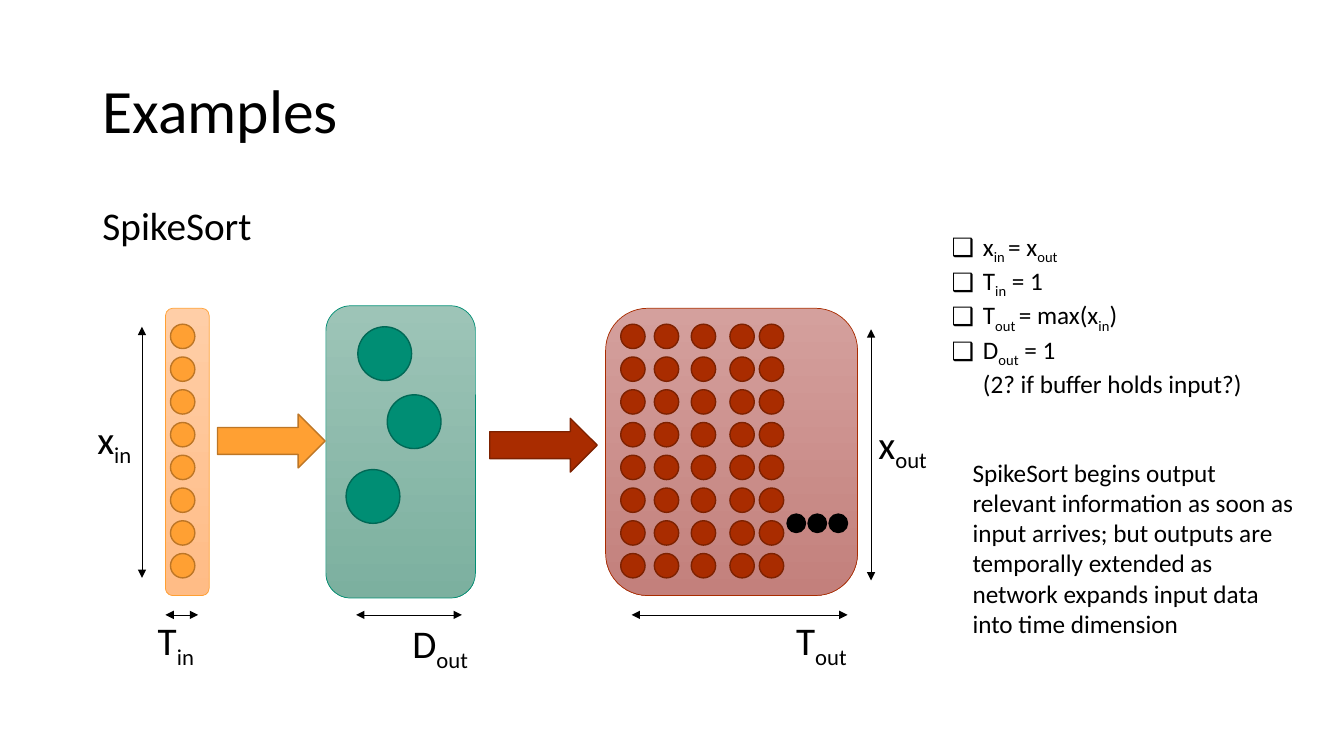
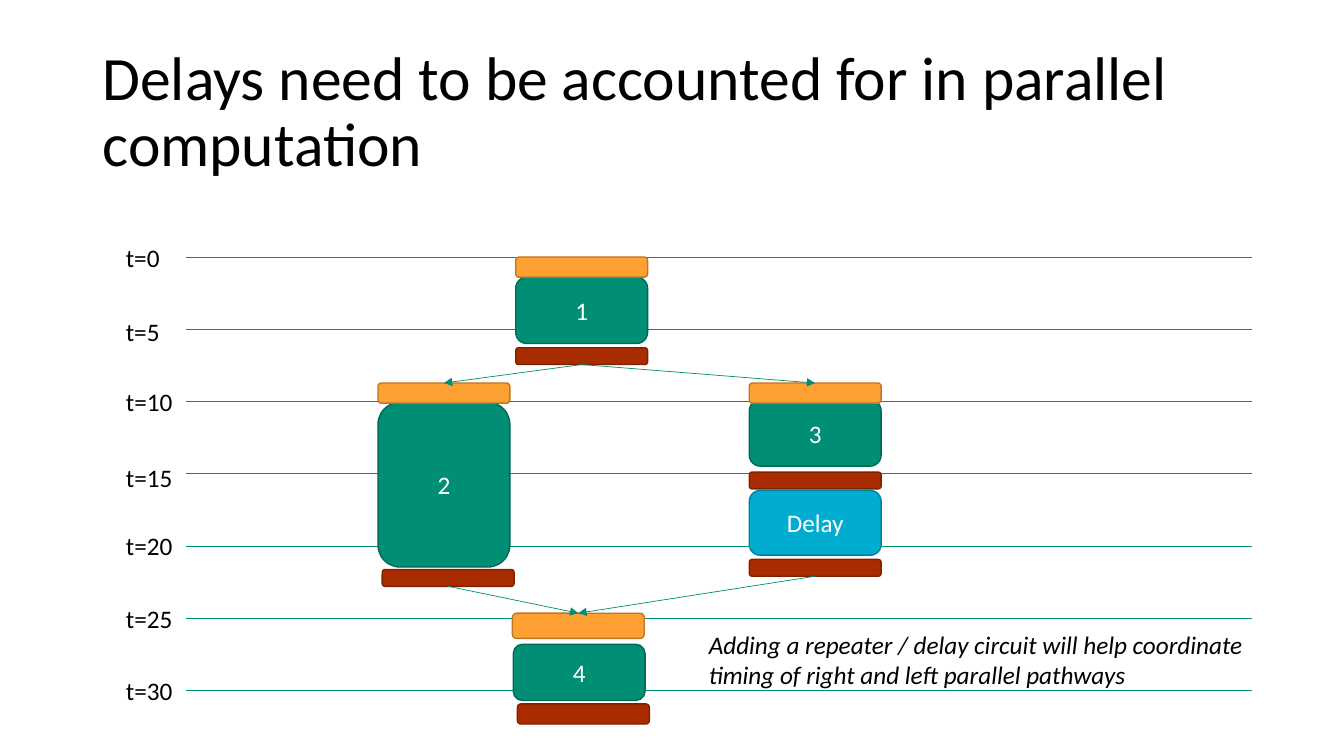
from dataclasses import dataclass

from lxml.etree import SubElement
from pptx import Presentation
from pptx.dml.color import RGBColor
from pptx.enum.shapes import MSO_CONNECTOR, MSO_SHAPE
from pptx.enum.text import MSO_ANCHOR, MSO_AUTO_SIZE, PP_ALIGN
from pptx.oxml.ns import qn
from pptx.util import Inches, Pt


@dataclass(frozen=True)
class Theme:
    font: str = "Calibri"
    title: int = 44
    head: int = 28
    body: int = 18
    ink: str = "000000"
    white: str = "FFFFFF"
    teal: str = "008E74"
    hair: float = 0.5
    input: tuple = (["FFA033"], "BD7626", 1)
    output: tuple = (["A92C00"], "7D2100", 1)
    network: tuple = (["008E74"], "006956", 1)
    delay: tuple = (["00ADD0"], "00809A", 1)
    dots: tuple = (["000000"], "000000", 1)
    input_panel: tuple = (["FFCEA7", "FFBC86"], "FFA033", 0.5)
    network_panel: tuple = (["9DC4B7", "7CB09F"], "008E74", 0.5)
    output_panel: tuple = (["D4A09D", "C3807C"], "A92C00", 0.5)


T = Theme()
prs = Presentation()
prs.slide_width, prs.slide_height = Inches(40 / 3), Inches(7.5)
COLS = 160
cell = prs.slide_width / COLS


def write(tf, paras, size, color=T.ink, align=PP_ALIGN.LEFT, italic=None):
    for i, para in enumerate(paras):
        p = tf.add_paragraph() if i else tf.paragraphs[0]
        p.alignment = align
        for j, part in enumerate(para.split("|")):
            for k, piece in enumerate(part.split("\n")):
                if k:
                    p.add_line_break()
                    SubElement(p._p[-1], qn("a:rPr"), sz=str(size * 100))
                r = p.add_run()
                r.text = piece
                r.font.name, r.font.size, r.font.italic = T.font, Pt(size), italic
                r.font.color.rgb = RGBColor.from_string(color)
                if j % 2:
                    r._r.get_or_add_rPr().set("baseline", "-25000")


def connect(s, ends, color, heads=()):
    cx = s.shapes.add_connector(MSO_CONNECTOR.STRAIGHT, *[int(v * cell) for v in ends])
    cx.line.color.rgb = RGBColor.from_string(color)
    cx.line.width = Pt(T.hair)
    for head in heads:
        SubElement(cx.line._get_or_add_ln(), qn(head), type="triangle")
    SubElement(cx._element.spPr, qn("a:effectLst"))
    return cx


examples = prs.slides.add_slide(prs.slide_layouts[3])
delays = prs.slides.add_slide(prs.slide_layouts[5])

title_at = (11, 4.8, 138, 17.4)
checks = [
    "x|in |= x|out",
    "T|in| = 1",
    "T|out |= max(x|in|)",
    "D|out| = 1 \n(2? if buffer holds input?)",
]
placeholders = [
    (examples.shapes.title, title_at, ["Examples"], T.title, 0.9, 0, None),
    (delays.shapes.title, title_at,
     ["Delays need to be accounted for in parallel computation"], T.title, 0.9, 0, None),
    (examples.placeholders[1], (11, 24, 138, 57), ["SpikeSort"], T.head, 0.9, 10, None),
    (examples.placeholders[2], (112.1, 26.9, 41.2, 19.4), checks, T.body, 1, 0, "❑"),
]
for ph, at, paras, size, spacing, before, bullet in placeholders:
    ph.left, ph.top, ph.width, ph.height = [int(v * cell) for v in at]
    tf = ph.text_frame
    tf.auto_size = MSO_AUTO_SIZE.NONE
    tf.vertical_anchor = MSO_ANCHOR.MIDDLE if size == T.title else MSO_ANCHOR.TOP
    write(tf, paras, size)
    for p in tf.paragraphs:
        p.line_spacing, p.space_before = spacing, Pt(before)
        pPr = p._p.get_or_add_pPr()
        indent = Inches(0.31) if bullet else 0
        pPr.set("marL", str(indent))
        pPr.set("indent", str(-indent))
        if bullet:
            SubElement(pPr, qn("a:buChar"), char=bullet)
        else:
            SubElement(pPr, qn("a:buNone"))

axis = 73.2
both = ("a:headEnd", "a:tailEnd")
for ends in [
    (16.9, 38.9, 16.9, 68.8),
    (103.7, 39.2, 103.7, 69.1),
    (19.7, axis, 23.6, axis),
    (42.4, axis, 55, axis),
    (75.2, axis, 100.9, axis),
]:
    connect(examples, ends, T.ink, both)

for row in range(7):
    y = 30.6 + 8.6 * row
    connect(delays, (22.2, y, 149, y), T.teal)

rounded, circle, arrow = MSO_SHAPE.ROUNDED_RECTANGLE, MSO_SHAPE.OVAL, MSO_SHAPE.RIGHT_ARROW
dot, neuron, bar = 2.9, 6.4, 15.7
rows = [38.6 + 3.9 * row for row in range(8)]

parts = [
    (examples, rounded, (38.8, 36.4, 17.8, 34.8), T.network_panel, ""),
    (examples, rounded, (19.7, 36.7, 5.2, 34.2), T.input_panel, ""),
    (examples, rounded, (72.1, 36.7, 30, 34.2), T.output_panel, ""),
    (examples, arrow, (25.9, 49.3, 12.8, 6.4), T.input, ""),
    (examples, arrow, (58.3, 49.8, 12.8, 6.4), T.output, ""),
]
parts += [(examples, circle, (x, y, neuron, neuron), T.network, "")
          for x, y in [(42.6, 38.9), (46.1, 47), (41.2, 55.9)]]
parts += [(examples, circle, (x, y, dot, dot), paint, "")
          for x, paint in [(20.3, T.input)] + [(x, T.output) for x in (73.9, 77.9, 82.3, 86.9, 90.4)]
          for y in rows]
parts += [(examples, circle, (93.7 + 2.5 * i, 61.2, 2.2, 2.2), T.dots, "") for i in range(3)]
parts += [(delays, rounded, (x, y, bar, h), paint, label) for x, y, h, paint, label in [
    (61.4, 33, 7.9, T.network, "1"),
    (45, 47.9, 19.6, T.network, "2"),
    (89.2, 47.6, 7.9, T.network, "3"),
    (89.2, 58.4, 7.7, T.delay, "Delay"),
    (61.1, 76.7, 6.7, T.network, "4"),
    (89.2, 56.2, 2, T.output, ""),
    (61.6, 83.8, 2.4, T.output, ""),
    (61.4, 30.6, 2.4, T.input, ""),
    (61.4, 41.4, 2, T.output, ""),
    (45, 45.6, 2.4, T.input, ""),
    (89.2, 45.6, 2.4, T.input, ""),
    (45.5, 67.8, 2, T.output, ""),
    (89.2, 66.6, 2, T.output, ""),
    (61, 73, 3, T.input, ""),
]]

drawn = []
for s, kind, at, (fills, edge, width), label in parts:
    sp = s.shapes.add_shape(kind, *[int(v * cell) for v in at])
    sp.shadow.inherit = False
    if len(fills) > 1:
        sp.fill.gradient()
        sp.fill.gradient_angle = 270
        for stop, color in zip(sp.fill.gradient_stops, fills):
            stop.color.rgb = RGBColor.from_string(color)
    else:
        sp.fill.solid()
        sp.fill.fore_color.rgb = RGBColor.from_string(fills[0])
    sp.line.color.rgb = RGBColor.from_string(edge)
    sp.line.width = Pt(width)
    if label:
        write(sp.text_frame, [label], T.body, T.white, PP_ALIGN.CENTER)
    drawn.append(sp)

out_1, in_2, in_3, out_2, out_delay, in_4 = drawn[-6:]
for source, target in [(out_1, in_2), (out_1, in_3), (out_2, in_4), (out_delay, in_4)]:
    cx = connect(delays, (0, 0, 0, 0), T.teal, both[1:])
    cx.begin_connect(source, 2)
    cx.end_connect(target, 0)

texts = [
    (examples, (10.4, 48.8, 6.8, 6.8), "x|in", T.head, False, None),
    (examples, (17.6, 72.8, 7.1, 6.8), "T|in", T.head, False, None),
    (examples, (103.4, 49.4, 8.6, 6.8), "x|out", T.head, False, None),
    (examples, (93.6, 72.8, 8.6, 6.8), "T|out", T.head, False, None),
    (examples, (47.9, 73.1, 9.7, 6.8), "D|out", T.head, False, None),
    (examples, (114.6, 53.8, 40.9, 23),
     "SpikeSort begins output relevant information as soon as input arrives; but outputs are "
     "temporally extended as network expands input data into time dimension", T.body, True, None),
    (delays, (83.2, 74.3, 66.2, 8.5),
     "Adding a repeater / delay circuit will help coordinate timing of right and left parallel "
     "pathways", T.body, True, True),
]
texts += [(delays, (13.8, y, 6.5 if i < 2 else 8, 4.8), f"t={5 * i}", T.body, False, None)
          for i, y in enumerate([28.2, 37.1, 45.4, 54.4, 62.6, 71.2, 79.8])]
for s, at, text, size, wrap, italic in texts:
    tf = s.shapes.add_textbox(*[int(v * cell) for v in at]).text_frame
    tf.word_wrap = wrap
    write(tf, [text], size, italic=italic)

prs.save("out.pptx")
